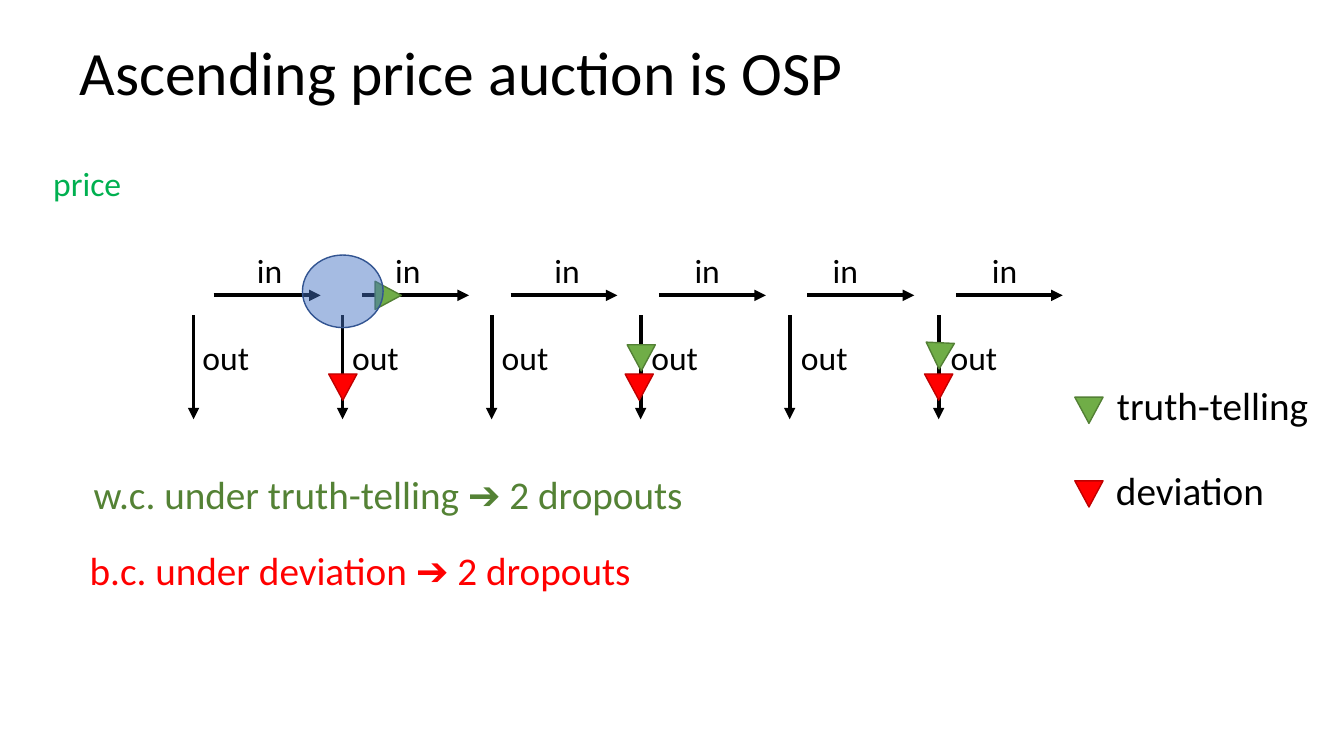
from lxml import etree
from pptx import Presentation
from pptx import util as u
from pptx.dml import color
from pptx.enum import shapes, text
from pptx.oxml import ns

HUES = {"black": "000000", "price": "00B050", "truth": "70AD47",
        "edge": "538035", "dark": "548235", "red": "FF0000",
        "rim": "C00000", "blue": "4472C4", "navy": "325491"}

deck = Presentation()
deck.slide_width, deck.slide_height = u.Inches(13.33), u.Inches(7.5)
slide = deck.slides.add_slide(deck.slide_layouts[5])


def write(words, box=None, size=24, hue="black", at=None):
    if box is None:
        box = slide.shapes.add_textbox(*map(u.Inches, at))
        box.text_frame.auto_size = text.MSO_AUTO_SIZE.SHAPE_TO_FIT_TEXT
    frame = box.text_frame
    frame.word_wrap = True
    para = frame.paragraphs[0]
    para.alignment = text.PP_ALIGN.LEFT
    run = para.add_run()
    run.text = words
    run.font.size = u.Pt(size)
    run.font.name = "Calibri"
    run.font.color.rgb = color.RGBColor.from_string(HUES[hue])
    return para


def mark(kind, at, fill, line, turn=0):
    form = slide.shapes.add_shape(kind, *map(u.Inches, at))
    form.shadow.inherit = False
    form.rotation = turn
    form.fill.solid()
    form.fill.fore_color.rgb = color.RGBColor.from_string(HUES[fill])
    form.line.color.rgb = color.RGBColor.from_string(HUES[line])
    form.line.width = u.Pt(1)
    return form


title = slide.shapes.title
title.left, title.top = u.Inches(0.69), u.Inches(0.02)
title.width, title.height = u.Inches(11.5), u.Inches(1.45)
title.text_frame.vertical_anchor = text.MSO_ANCHOR.MIDDLE
write("Ascending price auction is OSP", title, size=44).line_spacing = 0.9

STEPS = 6
drops = [(1.92 + 1.478 * i, 3.13, 1.92 + 1.478 * i, 4.16) for i in range(STEPS)]
stays = [(2.12 + 1.472 * i, 2.93, 3.18 + 1.472 * i, 2.93) for i in range(STEPS)]
for ends in drops + stays:
    arrow = slide.shapes.add_connector(
        shapes.MSO_CONNECTOR.STRAIGHT, *map(u.Inches, ends))
    arrow.line.width = u.Pt(2.75)
    arrow.line.color.rgb = color.RGBColor.from_string(HUES["black"])
    tail = etree.SubElement(arrow.line._get_or_add_ln(), ns.qn("a:tailEnd"))
    tail.set("type", "triangle")
    etree.SubElement(arrow._element.spPr, ns.qn("a:effectLst"))

for x in (2.45, 3.82, 5.4, 6.79, 8.16, 9.74):
    write("in", at=(x, 2.43, 0.65, 0.5))
for i in range(STEPS):
    write("out", at=(1.91 + 1.484 * i, 3.29, 0.86, 0.5))
write("price", hue="price", at=(0.43, 1.57, 0.97, 0.5))

truths = [(3.71, 2.8, 90), (6.22, 3.42, 180), (9.18, 3.4, 182.7), (10.66, 3.94, 180)]
lies = [(9.17, 3.71, 180), (6.2, 3.71, 180), (3.26, 3.71, 180), (10.66, 4.77, 180)]
for spots, fill, line in ((truths, "truth", "edge"), (lies, "red", "rim")):
    for x, y, turn in spots:
        mark(shapes.MSO_SHAPE.ISOSCELES_TRIANGLE, (x, y, 0.28, 0.26), fill, line, turn)

focus = mark(shapes.MSO_SHAPE.OVAL, (3, 2.53, 0.8, 0.72), "blue", "navy")
tint = focus._element.spPr.find(ns.qn("a:solidFill"))[0]
etree.SubElement(tint, ns.qn("a:alpha")).set("val", "48000")

write("truth-telling", size=28, at=(10.98, 3.73, 2.75, 0.57))
write("deviation", size=28, at=(10.97, 4.58, 2.75, 0.57))
write("w.c. under truth-telling ➔ 2 dropouts", size=28, hue="dark",
      at=(0.83, 4.62, 8.49, 0.57))
write("b.c. under deviation ➔ 2 dropouts", size=28, hue="red",
      at=(0.79, 5.37, 8.49, 0.57))

deck.save("out.pptx")
